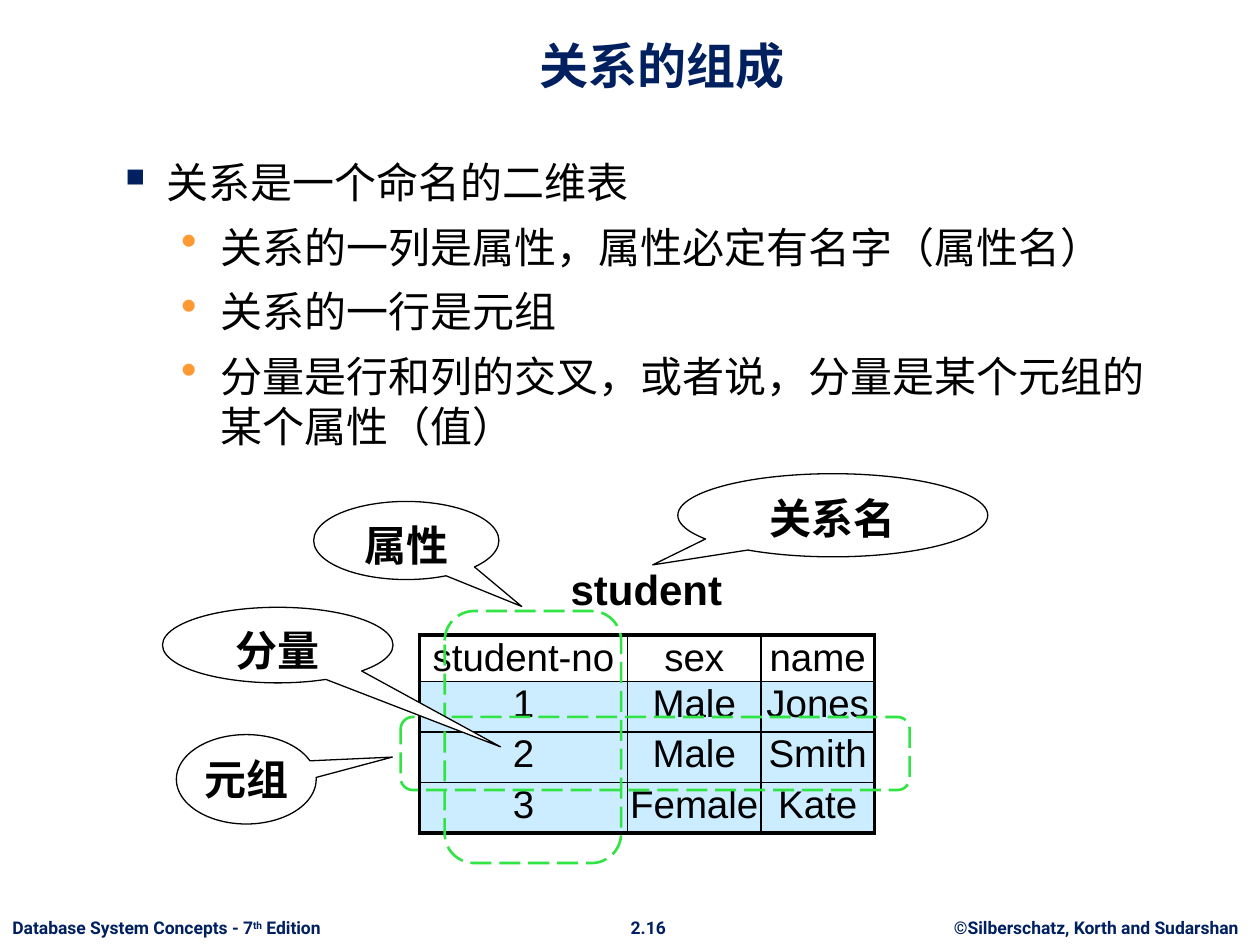
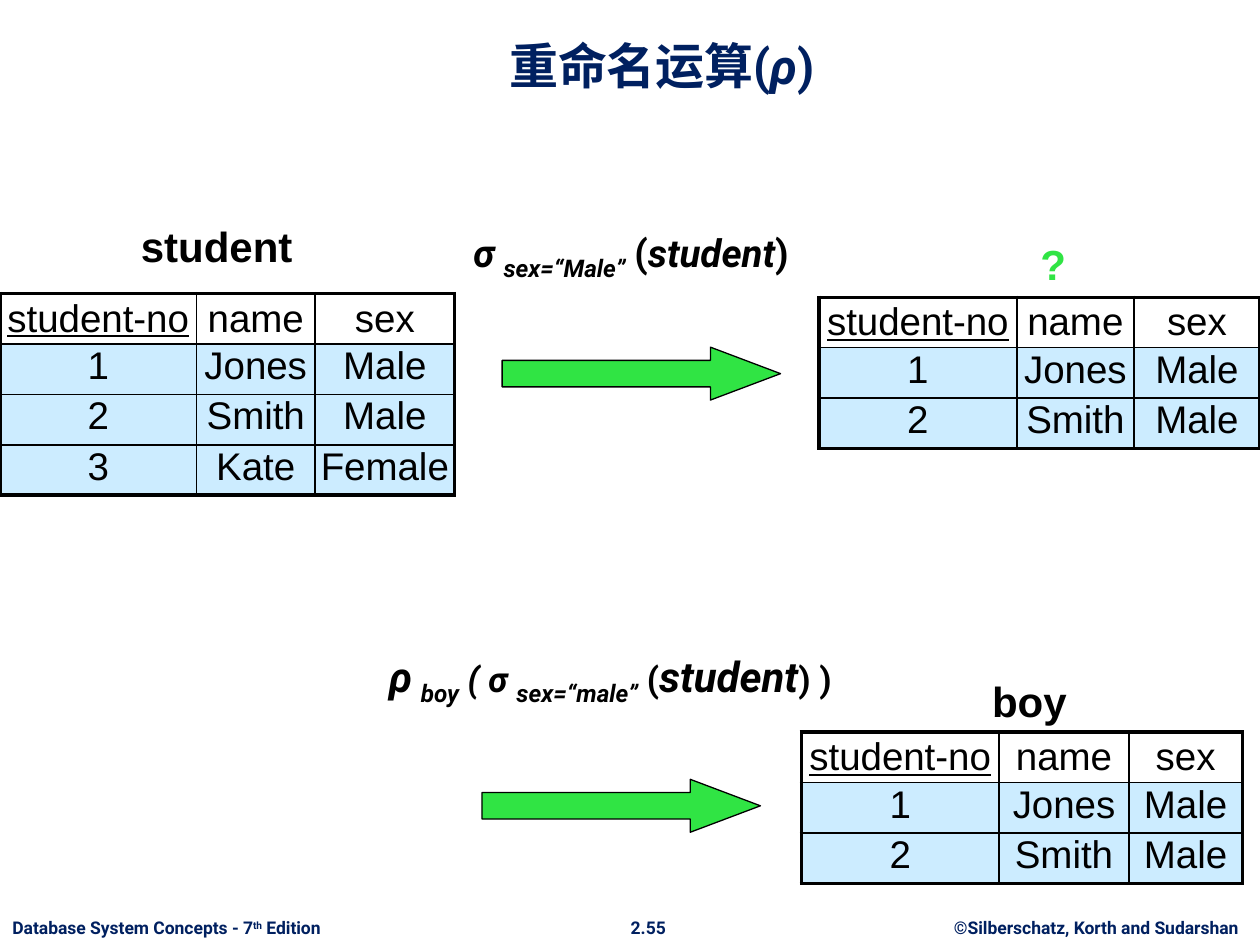
"""Build two slides on relations: their parts and the rename operation."""
import pptx
import pptx.dml.color
import pptx.enum.dml
import pptx.enum.shapes
import pptx.enum.text
import pptx.oxml.ns
import pptx.util
from lxml import etree

Inches, Pt = pptx.util.Inches, pptx.util.Pt
RGBColor = pptx.dml.color.RGBColor
Align = pptx.enum.text.PP_ALIGN
Anchor = pptx.enum.text.MSO_ANCHOR
Shape = pptx.enum.shapes.MSO_SHAPE
qn = pptx.oxml.ns.qn

NAVY = RGBColor(0x00, 0x20, 0x60)
BLACK = RGBColor(0x00, 0x00, 0x00)
WHITE = RGBColor(0xFF, 0xFF, 0xFF)
GREEN = RGBColor(0x30, 0xE4, 0x44)
ORANGE = RGBColor(0xFF, 0x99, 0x33)
PALE_BLUE = RGBColor(0xCC, 0xEC, 0xFF)

CJK = "Noto Sans CJK SC"
TITLE = dict(name="Roboto", size=28, bold=True, color=NAVY)
FOOTER = dict(name="Roboto", size=10, bold=True, color=NAVY)
BODY = dict(name=CJK, size=24, color=BLACK)
CAPTION = dict(name="Arial", size=24, bold=True, color=BLACK)
CALLOUT = dict(name="Cabin", east_asian="Cabin", size=24, bold=True, color=BLACK)
CELL = dict(name="Arial", size=22, color=BLACK)
FORMULA = dict(name="Roboto", size=20, bold=True, italic=True, color=BLACK)

BULLETS = [("▪", NAVY, 0.38, 0.38), ("•", ORANGE, 0.81, 0.31)]
OUTER, INNER = 2.25, 1
KEY_HEADER = ["student-no", "name", "sex"]
BOYS = [KEY_HEADER, ["1", "Jones", "Male"], ["2", "Smith", "Male"]]


def add_span(para, text, style, **changes):
    """Add a run to a paragraph in the given style."""
    look = {**style, **changes}
    color, size = look.pop("color"), look.pop("size")
    east_asian, baseline = look.pop("east_asian", CJK), look.pop("baseline", 0)
    span = para.add_run()
    span.text = text
    span.font.size = Pt(size)
    span.font.color.rgb = color
    for key, value in look.items():
        setattr(span.font, key, value)
    properties = span.font._element
    etree.SubElement(properties, qn("a:ea"), typeface=east_asian)
    if baseline:
        properties.set("baseline", str(baseline * 1000))


def add_text(page, place, spans, style, align=Align.LEFT, wrap=True, anchor=Anchor.TOP):
    """Add a one-paragraph text box made of (text, changes) spans."""
    box = page.shapes.add_textbox(*map(Inches, place))
    frame = box.text_frame
    frame.word_wrap, frame.vertical_anchor = wrap, anchor
    para = frame.paragraphs[0]
    para.alignment = align
    for text, changes in spans:
        add_span(para, text, style, **changes)


def add_page(deck, title, number):
    """Add a blank slide with its title and the shared footer."""
    page = deck.slides.add_slide(deck.slide_layouts[6])
    edition = [("Database System Concepts - 7", {}), ("th", {"baseline": 30}), (" Edition", {})]
    add_text(page, (0, 7.23, 2.81, 0.27), edition, FOOTER, wrap=False)
    add_text(page, (4.9, 7.23, 0.49, 0.27), [(number, {})], FOOTER, Align.CENTER, False)
    add_text(page, (7.4, 7.23, 2.6, 0.27), [("©Silberschatz, Korth and Sudarshan", {})],
             FOOTER, Align.CENTER, False)
    add_text(page, (0.84, 0.13, 8.83, 0.67), title, TITLE, Align.CENTER, anchor=Anchor.BOTTOM)
    return page


def add_bullets(page, place, items):
    """Add a bulleted list of (level, text) items."""
    frame = page.shapes.add_textbox(*map(Inches, place)).text_frame
    frame.word_wrap = True
    for index, (level, text) in enumerate(items):
        para = frame.add_paragraph() if index else frame.paragraphs[0]
        mark, color, margin, hanging = BULLETS[level]
        para.level = level
        para.line_spacing = Pt(28.5)
        para.space_before = Pt(8.4 if index else 0)
        properties = para._p.get_or_add_pPr()
        properties.set("marL", str(Inches(margin)))
        properties.set("indent", str(-Inches(hanging)))
        tint = etree.SubElement(properties, qn("a:buClr"))
        etree.SubElement(tint, qn("a:srgbClr"), val=str(color))
        etree.SubElement(properties, qn("a:buSzPct"), val="110000")
        etree.SubElement(properties, qn("a:buChar"), char=mark)
        add_span(para, text, BODY)


def set_borders(cell, widths):
    """Draw the left, right, top and bottom borders of a cell."""
    properties = cell._tc.get_or_add_tcPr()
    for index, (side, width) in enumerate(zip("LRTB", widths)):
        line = etree.Element(qn(f"a:ln{side}"), w=str(Pt(width)))
        fill = etree.SubElement(line, qn("a:solidFill"))
        etree.SubElement(fill, qn("a:srgbClr"), val=str(BLACK))
        properties.insert(index, line)


def add_relation(page, left, top, widths, rows, header_height=0.4, key_underlined=True):
    """Add a relation table with a white header and pale blue tuples."""
    heights = [header_height] + [0.4] * (len(rows) - 1)
    place = map(Inches, (left, top, sum(widths), sum(heights)))
    table = page.shapes.add_table(len(rows), len(widths), *place).table
    for column, width in zip(table.columns, widths):
        column.width = Inches(width)
    for row, height in zip(table.rows, heights):
        row.height = Inches(height)
    last_row, last_column = len(rows) - 1, len(widths) - 1
    for r, values in enumerate(rows):
        for c, value in enumerate(values):
            cell = table.cell(r, c)
            for side in ("left", "right", "top", "bottom"):
                setattr(cell, f"margin_{side}", 0)
            cell.vertical_anchor = Anchor.MIDDLE
            cell.fill.solid()
            cell.fill.fore_color.rgb = PALE_BLUE if r else WHITE
            edges = (c == 0, c == last_column, r == 0, r == last_row)
            set_borders(cell, [OUTER if edge else INNER for edge in edges])
            para = cell.text_frame.paragraphs[0]
            para.alignment = Align.CENTER
            para.line_spacing = 0.8 if r else 1.0
            add_span(para, value, CELL, underline=key_underlined and r == c == 0)


def add_figure(page, kind, place, adjustments, fill=None, line=BLACK, width=0.75):
    """Add a preset shape with a plain outline and an optional fill."""
    figure = page.shapes.add_shape(kind, *map(Inches, place))
    figure.shadow.inherit = False
    for index, value in enumerate(adjustments):
        figure.adjustments[index] = value
    if fill is None:
        figure.fill.background()
    else:
        figure.fill.solid()
        figure.fill.fore_color.rgb = fill
    figure.line.color.rgb = line
    figure.line.width = Pt(width)
    return figure


def add_callout(page, place, pointer, text):
    """Add an elliptical callout with a bold label."""
    callout = add_figure(page, Shape.OVAL_CALLOUT, place, pointer, WHITE)
    frame = callout.text_frame
    frame.margin_left = frame.margin_right = 0
    frame.word_wrap, frame.vertical_anchor = True, Anchor.TOP
    para = frame.paragraphs[0]
    para.alignment = Align.CENTER
    add_span(para, text, CALLOUT)


def add_highlight(page, place):
    """Add a dashed green rounded frame."""
    frame = add_figure(page, Shape.ROUNDED_RECTANGLE, place, [0.167], line=GREEN, width=1.5)
    frame.line.dash_style = pptx.enum.dml.MSO_LINE.LONG_DASH


def add_arrow(page, left, top):
    """Add a green block arrow that points right."""
    arrow = add_figure(page, Shape.DOWN_ARROW, (left, top, 0.42, 2.21), [0.5, 1.325], GREEN)
    arrow.rotation = 270


def add_caption(page, left, top, text, align=Align.CENTER, **changes):
    """Add the bold name above a relation."""
    add_text(page, (left, top, 2, 0.5), [(text, changes)], CAPTION, align)


def build_parts_page(deck):
    """Build the slide on the parts of a relation."""
    page = add_page(deck, [("关系的组成", {"name": CJK})], "2.16")
    add_bullets(page, (0.84, 1.2, 8.43, 5.36), [
        (0, "关系是一个命名的二维表"),
        (1, "关系的一列是属性，属性必定有名字（属性名）"),
        (1, "关系的一行是元组"),
        (1, "分量是行和列的交叉，或者说，分量是某个元组的某个属性（值）"),
    ])
    add_relation(page, 3.33, 5.04, [1.65, 1.06, 0.9], [
        ["student-no", "sex", "name"], ["1", "Male", "Jones"],
        ["2", "Male", "Smith"], ["3", "Female", "Kate"],
    ], header_height=0.37, key_underlined=False)
    add_caption(page, 4.43, 4.42, "student", Align.LEFT)
    add_callout(page, (5.38, 3.76, 2.46, 0.66), (-0.581, 0.597), "关系名")
    add_callout(page, (2.49, 3.98, 1.47, 0.62), (0.623, 0.844), "属性")
    add_highlight(page, (3.53, 4.85, 1.4, 2))
    add_highlight(page, (3.18, 5.69, 4.04, 0.58))
    add_callout(page, (1.4, 5.83, 1.11, 0.71), (1.044, -0.248), "元组")
    add_callout(page, (1.29, 4.82, 1.83, 0.6), (0.966, 1.346), "分量")


def build_rename_page(deck):
    """Build the slide on the rename operation."""
    page = add_page(deck, [("重命名运算(", {}), ("ρ", {"italic": True}), (")", {})], "2.55")
    upright = {"italic": False}
    subscript = {"size": 24, "baseline": -25}

    add_relation(page, 0, 2.33, [1.56, 0.94, 1.11], BOYS + [["3", "Kate", "Female"]])
    add_caption(page, 0.72, 1.7, "student")
    add_arrow(page, 4.88, 1.86)
    add_relation(page, 6.5, 2.36, [1.57, 0.93, 1], BOYS)
    add_caption(page, 7.36, 1.84, "?", color=GREEN)
    add_text(page, (3.66, 1.74, 3.24, 0.47), [
        ("σ", {"size": 22}), (" ", upright), ("sex=“Male”", subscript), (" ", {}),
        ("(", {"size": 22, **upright}), ("student", {"size": 22}),
        (")", {"size": 22, **upright}),
    ], FORMULA)

    add_arrow(page, 4.72, 5.29)
    add_relation(page, 6.36, 5.81, [1.57, 1.03, 0.9], BOYS)
    add_caption(page, 7.17, 5.31, "boy")
    add_text(page, (2.99, 5.11, 4.32, 0.5), [
        ("ρ", {"size": 24}), (" ", {}), ("boy", subscript), (" ( σ ", {}),
        ("sex=“male”", subscript), (" ", {}), ("(", upright),
        ("student", {"size": 24}), (") )", upright),
    ], FORMULA)


def main():
    """Build and save the deck."""
    deck = pptx.Presentation()
    deck.slide_width, deck.slide_height = Inches(10), Inches(7.5)
    build_parts_page(deck)
    build_rename_page(deck)
    deck.save("out.pptx")


if __name__ == "__main__":
    main()
